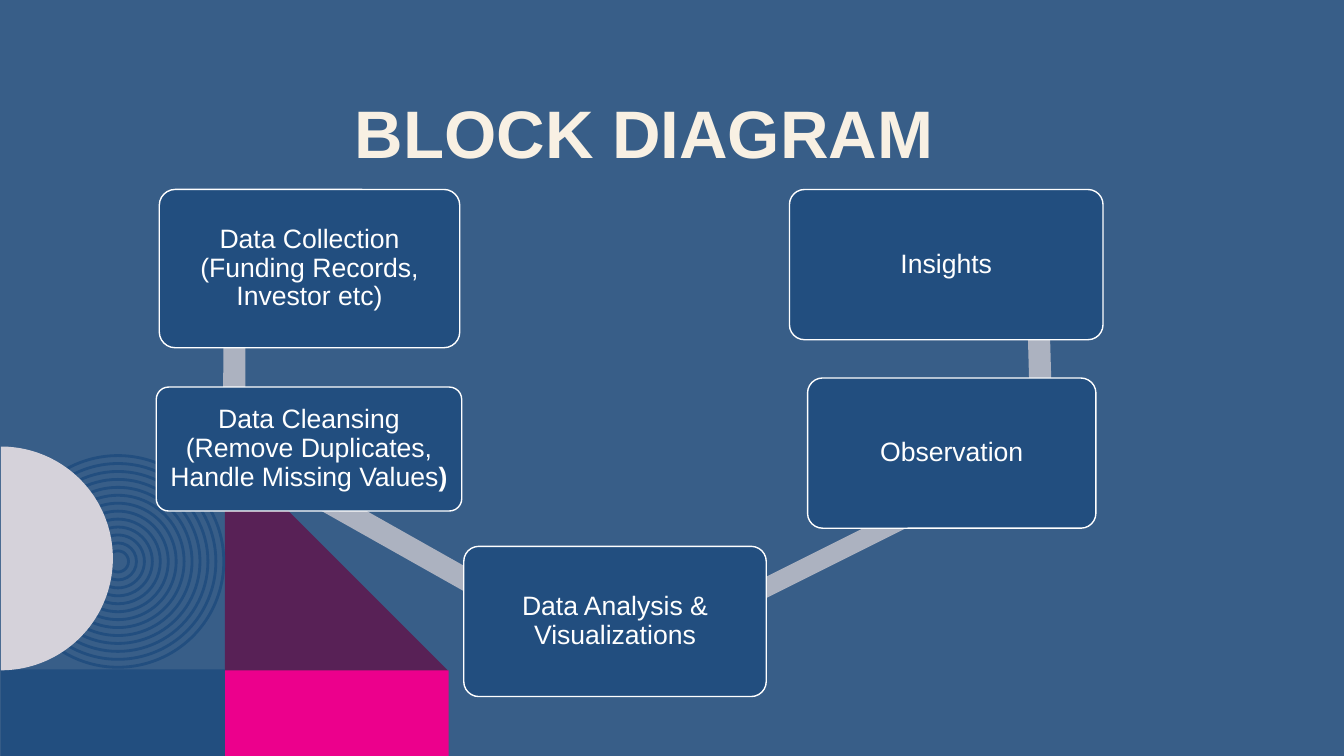
from dataclasses import dataclass
from math import cos, pi, sin

from pptx import Presentation
from pptx.dml.color import RGBColor
from pptx.enum import shapes, text
from pptx.util import Inches, Pt


@dataclass(frozen=True)
class Theme:
    font: str = "Arial"
    title_size: int = 48
    block_size: int = 19
    background: str = "385E88"
    navy: str = "224E7F"
    plum: str = "582156"
    pink: str = "EC008C"
    pale: str = "D5D2DA"
    link: str = "ACB2C0"
    cream: str = "F8F0E3"
    white: str = "FFFFFF"


THEME = Theme()

# Blocks: left, top, width, height, runs of (wording, bold)
BLOCKS = [
    (1.58, 1.88, 2.98, 1.57,
     [("Data Collection (Funding Records, Investor etc)", False)]),
    (1.55, 3.84, 3.03, 1.23,
     [("Data Cleansing (Remove Duplicates, Handle Missing Values", False),
      (")", True)]),
    (4.6, 5.42, 3, 1.49, [("Data Analysis & Visualizations", False)]),
    (8.01, 3.75, 2.86, 1.49, [("Observation", False)]),
    (7.83, 1.88, 3.11, 1.49, [("Insights", False)]),
]

# Links between successive blocks: left, top, width, height, rotation
LINKS = [
    (1.43, 3.07, 1.79, 0.22, 90.1),
    (1.82, 5.04, 3.47, 0.22, 29.4),
    (6.22, 5.49, 3.73, 0.19, 333.4),
    (9.45, 3.24, 1.71, 0.22, 268.4),
]


def style(shape, fill=None, line=None, width=1):
    shape.shadow.inherit = False
    if fill:
        shape.fill.solid()
        shape.fill.fore_color.rgb = RGBColor.from_string(fill)
    else:
        shape.fill.background()
    if line:
        shape.line.color.rgb = RGBColor.from_string(line)
        shape.line.width = Pt(width)
    else:
        shape.line.fill.background()


def add_preset(slide, kind, box, **look):
    shape = slide.shapes.add_shape(kind, *[Inches(value) for value in box])
    style(shape, **look)
    return shape


def add_polygon(slide, points, fill):
    corners = [(Inches(x), Inches(y)) for x, y in points]
    builder = slide.shapes.build_freeform(*corners[0])
    builder.add_line_segments(corners[1:], close=True)
    style(builder.convert_to_shape(), fill=fill)


def write(shape, runs, size, color, anchor):
    frame = shape.text_frame
    frame.word_wrap = True
    frame.vertical_anchor = anchor
    paragraph = frame.paragraphs[0]
    paragraph.alignment = text.PP_ALIGN.CENTER
    paragraph.line_spacing = 0.9
    for wording, bold in runs:
        run = paragraph.add_run()
        run.text = wording
        run.font.name = THEME.font
        run.font.size = Pt(size)
        run.font.bold = bold
        run.font.color.rgb = RGBColor.from_string(color)


def add_title(slide, wording):
    box = slide.shapes.add_textbox(
        Inches(0.29), Inches(0.6), Inches(12.2), Inches(1.17))
    write(box, [(wording, True)], THEME.title_size, THEME.cream,
          text.MSO_ANCHOR.BOTTOM)


def add_rings(slide, center_x, center_y, outer, step, count):
    for index in range(count):
        size = outer - index * step
        add_preset(slide, shapes.MSO_SHAPE.OVAL,
                   (center_x - size / 2, center_y - size / 2, size, size),
                   line=THEME.navy, width=2)


def add_half_disc(slide, x, center_y, radius, steps=90):
    angles = [pi * index / steps - pi / 2 for index in range(steps + 1)]
    points = [(x + radius * cos(angle), center_y + radius * sin(angle))
              for angle in angles]
    add_polygon(slide, points, THEME.pale)


def add_corner_art(slide):
    rectangle = shapes.MSO_SHAPE.RECTANGLE
    add_polygon(slide, [(2.23, 4.44), (4.45, 6.66), (2.23, 6.66)], THEME.plum)
    add_preset(slide, rectangle, (2.23, 6.65, 2.22, 0.85), fill=THEME.pink)
    add_rings(slide, 1.17, 5.57, outer=2.1, step=0.1575, count=13)
    add_preset(slide, rectangle, (0.01, 6.64, 2.22, 0.86), fill=THEME.navy)
    add_half_disc(slide, 0.01, 5.54, 1.11)


def add_link(slide, left, top, width, height, rotation):
    bar = add_preset(slide, shapes.MSO_SHAPE.RECTANGLE,
                     (left, top, width, height), fill=THEME.link)
    bar.rotation = rotation


def add_block(slide, left, top, width, height, runs):
    block = add_preset(slide, shapes.MSO_SHAPE.ROUNDED_RECTANGLE,
                       (left, top, width, height),
                       fill=THEME.navy, line=THEME.white)
    block.adjustments[0] = 0.1
    frame = block.text_frame
    frame.margin_left = frame.margin_right = Inches(0.08)
    frame.margin_top = frame.margin_bottom = Inches(0.08)
    write(block, runs, THEME.block_size, THEME.white, text.MSO_ANCHOR.MIDDLE)


def main():
    presentation = Presentation()
    presentation.slide_width = Inches(13.33)
    presentation.slide_height = Inches(7.5)
    slide = presentation.slides.add_slide(presentation.slide_layouts[6])
    slide.background.fill.solid()
    slide.background.fill.fore_color.rgb = RGBColor.from_string(
        THEME.background)

    # Decoration and title
    add_corner_art(slide)
    add_title(slide, "BLOCK DIAGRAM")

    # Diagram: links lie beneath the blocks
    for link in LINKS:
        add_link(slide, *link)
    for block in BLOCKS:
        add_block(slide, *block)

    presentation.save("out.pptx")


if __name__ == "__main__":
    main()
